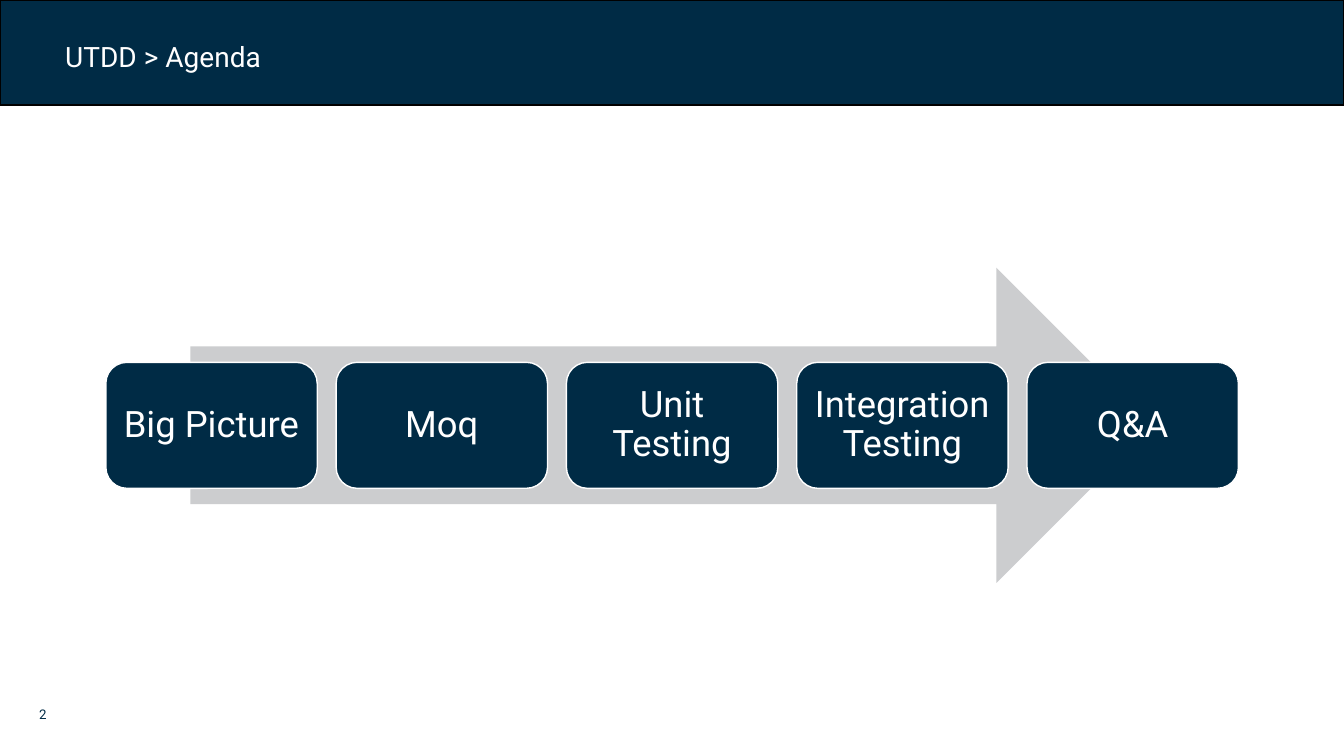
from pptx import Presentation
from pptx import util as u
from pptx.dml import color
from pptx.enum import shapes, text

COLORS = {"navy": "002B45", "grey": "CCCDCF", "white": "FFFFFF", "black": "000000"}


class AgendaSlide:
    """Draws the agenda elements on one slide, with all lengths in points."""

    font = "Roboto"

    def __init__(self, deck):
        self.slide = deck.slides.add_slide(deck.slide_layouts[6])

    def rgb(self, name):
        return color.RGBColor.from_string(COLORS[name])

    def shape(self, kind, box, fill, line=None, weight=1):
        item = self.slide.shapes.add_shape(kind, *map(u.Pt, box))
        item.shadow.inherit = False
        item.fill.solid()
        item.fill.fore_color.rgb = self.rgb(fill)
        if line:
            item.line.color.rgb = self.rgb(line)
            item.line.width = u.Pt(weight)
        else:
            item.line.fill.background()
        return item

    def label(self, box, words):
        holder = self.slide.shapes.add_textbox(*map(u.Pt, box))
        self.set_words(holder, words, 9.5, "navy", insets=(0, 0),
                       anchor=text.MSO_ANCHOR.BOTTOM)

    def set_words(self, item, words, size, ink, insets=(7.2, 3.6),
                  anchor=text.MSO_ANCHOR.MIDDLE, align=text.PP_ALIGN.LEFT, spacing=None):
        frame = item.text_frame
        frame.text = words
        frame.word_wrap = True
        frame.vertical_anchor = anchor
        frame.margin_left = frame.margin_right = u.Pt(insets[0])
        frame.margin_top = frame.margin_bottom = u.Pt(insets[1])
        paragraph = frame.paragraphs[0]
        paragraph.alignment = align
        paragraph.line_spacing = spacing
        font = paragraph.runs[0].font
        font.name, font.size = self.font, u.Pt(size)
        font.color.rgb = self.rgb(ink)

    def step(self, box, words):
        card = self.shape(shapes.MSO_SHAPE.ROUNDED_RECTANGLE, box, "navy", "white")
        self.set_words(card, words, 26, "white", insets=(7.9, 7.9),
                       align=text.PP_ALIGN.CENTER, spacing=0.9)

    def title(self, words):
        self.shape(shapes.MSO_SHAPE.RECTANGLE, (0, 0, 960, 75), "navy", "black")
        heading = self.shape(shapes.MSO_SHAPE.RECTANGLE, (39.5, 24.7, 637, 31.5),
                             "navy", "navy", 0.75)
        self.set_words(heading, words, 20, "white", anchor=text.MSO_ANCHOR.TOP)


def main():
    deck = Presentation()
    deck.slide_width, deck.slide_height = u.Pt(960), u.Pt(540)
    agenda = AgendaSlide(deck)

    agenda.label((28, 501, 29, 14.5), "2")
    agenda.shape(shapes.MSO_SHAPE.RIGHT_ARROW, (136, 191.2, 688.3, 225.2), "grey")

    topics = ["Big Picture", "Moq", "Unit Testing", "Integration Testing", "Q&A"]
    first_left, pitch = 75.6, 164.5
    for index, topic in enumerate(topics):
        agenda.step((first_left + index * pitch, 258.8, 151, 90), topic)

    agenda.title("UTDD > Agenda")
    deck.save("out.pptx")


if __name__ == "__main__":
    main()
